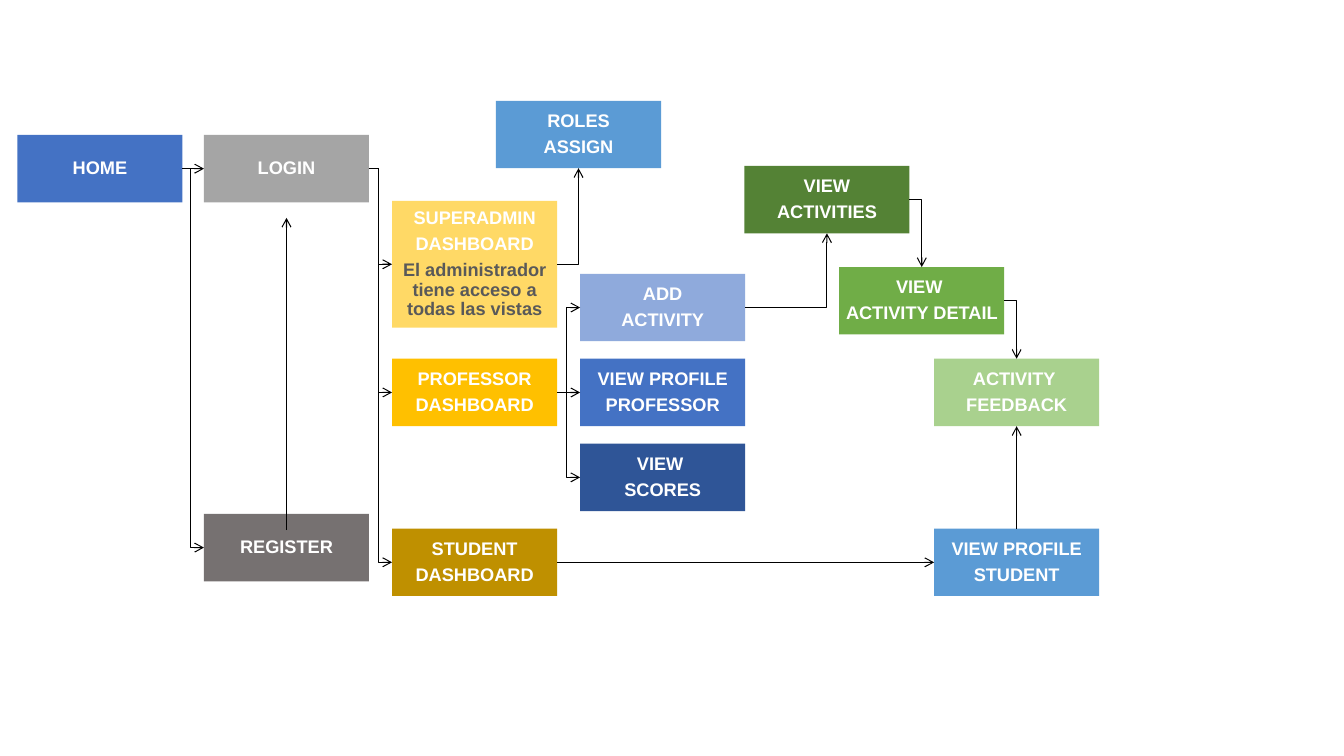
import pptx
import pptx.util
import pptx.dml.color
import pptx.enum.shapes
import pptx.enum.text
import pptx.oxml.ns
from lxml import etree

Cm = pptx.util.Cm
Pt = pptx.util.Pt


def rgb(value):
    return pptx.dml.color.RGBColor.from_string(value)


def style_arrow(sp):
    sp.line.color.rgb = rgb("000000")
    sp.line.width = Pt(0.75)
    ln = sp.line._get_or_add_ln()
    etree.SubElement(ln, pptx.oxml.ns.qn("a:tailEnd"), type="arrow")
    etree.SubElement(sp._element.spPr, pptx.oxml.ns.qn("a:effectLst"))


prs = pptx.Presentation()
prs.slide_width = Cm(33.87)
prs.slide_height = Cm(19.05)
s = prs.slides.add_slide(prs.slide_layouts[6])

W, H = 4.16, 1.7
cols = [0.44] + [5.14 + 4.74 * i for i in range(3)]
rows = [6.9 + 2.14 * i for i in range(4)]
steps = [18.76 + 2.39 * i for i in range(3)]
ADMIN_TEXT = "El administrador tiene acceso a todas las vistas"

boxes = [
    ("home", cols[0], 3.4, H, "4472C4", ["HOME"]),
    ("login", cols[1], 3.4, H, "A5A5A5", ["LOGIN"]),
    ("superadmin", cols[2], 5.06, 3.2, "FFD966", ["SUPERADMIN", "DASHBOARD", ADMIN_TEXT]),
    ("roles", 12.5, 2.54, H, "5B9BD5", ["ROLES", "ASSIGN"]),
    ("professor", cols[2], rows[1], H, "FFC000", ["PROFESSOR", "DASHBOARD"]),
    ("add", cols[3], rows[0], H, "8FAADC", ["ADD", "ACTIVITY"]),
    ("activities", steps[0], 4.18, H, "548235", ["VIEW", "ACTIVITIES"]),
    ("detail", steps[1], 6.73, H, "70AD47", ["VIEW ", "ACTIVITY DETAIL"]),
    ("feedback", steps[2], rows[1], H, "A9D18E", ["ACTIVITY ", "FEEDBACK"]),
    ("professor profile", cols[3], rows[1], H, "4472C4", ["VIEW PROFILE", "PROFESSOR"]),
    ("scores", cols[3], rows[2], H, "2F5597", ["VIEW ", "SCORES"]),
    ("student", cols[2], rows[3], H, "BF9000", ["STUDENT", "DASHBOARD"]),
    ("student profile", steps[2], rows[3], H, "5B9BD5", ["VIEW PROFILE", "STUDENT"]),
    ("register", cols[1], 12.95, H, "767171", ["REGISTER"]),
]

shapes = {}
for name, x, y, h, color, lines in boxes:
    sp = s.shapes.add_shape(pptx.enum.shapes.MSO_SHAPE.RECTANGLE, Cm(x), Cm(y), Cm(W), Cm(h))
    sp.shadow.inherit = False
    sp.fill.solid()
    sp.fill.fore_color.rgb = rgb(color)
    sp.line.fill.background()
    tf = sp.text_frame
    tf.word_wrap = True
    tf.vertical_anchor = pptx.enum.text.MSO_ANCHOR.MIDDLE
    tf.margin_left = tf.margin_right = tf.margin_top = tf.margin_bottom = Cm(0.02)
    tf.text = "\n".join(lines)
    for p in tf.paragraphs:
        p.alignment = pptx.enum.text.PP_ALIGN.CENTER
        p.line_spacing = 0.9
        p.space_after = Pt(4.55)
        for r in p.runs:
            r.font.name = "Arial"
            r.font.size = Pt(13)
            r.font.bold = True
            r.font.color.rgb = rgb("595959" if r.text == ADMIN_TEXT else "FFFFFF")
    shapes[name] = sp

elbows = []
for source, target in [
    ("home", "register"),
    ("login", "superadmin"), ("login", "professor"), ("login", "student"),
    ("professor", "add"), ("professor", "scores"),
]:
    a, b = shapes[source], shapes[target]
    y1, y2 = a.top + a.height // 2, b.top + b.height // 2
    trunk = b.left - Cm(0.35)
    elbows.append([(a.left + a.width, y1), (trunk, y1), (trunk, y2), (b.left, y2)])

for source, target in [
    ("superadmin", "roles"), ("add", "activities"),
    ("activities", "detail"), ("detail", "feedback"),
]:
    a, b = shapes[source], shapes[target]
    y1, x2 = a.top + a.height // 2, b.left + b.width // 2
    y2 = b.top if b.top > y1 else b.top + b.height
    elbows.append([(a.left + a.width, y1), (x2, y1), (x2, y2)])

for points in elbows:
    fb = s.shapes.build_freeform(*points[0])
    fb.add_line_segments(points[1:], close=False)
    sp = fb.convert_to_shape()
    sp.fill.background()
    style_arrow(sp)

for source, start, target, end in [
    ("home", 3, "login", 1),
    ("professor", 3, "professor profile", 1),
    ("student", 3, "student profile", 1),
    ("student profile", 0, "feedback", 2),
]:
    c = s.shapes.add_connector(pptx.enum.shapes.MSO_CONNECTOR.STRAIGHT, 0, 0, 0, 0)
    c.begin_connect(shapes[source], start)
    c.end_connect(shapes[target], end)
    style_arrow(c)

x = Cm(cols[1] + W / 2)
c = s.shapes.add_connector(pptx.enum.shapes.MSO_CONNECTOR.STRAIGHT, x, Cm(13.36), x, Cm(5.49))
style_arrow(c)

prs.save("out.pptx")
